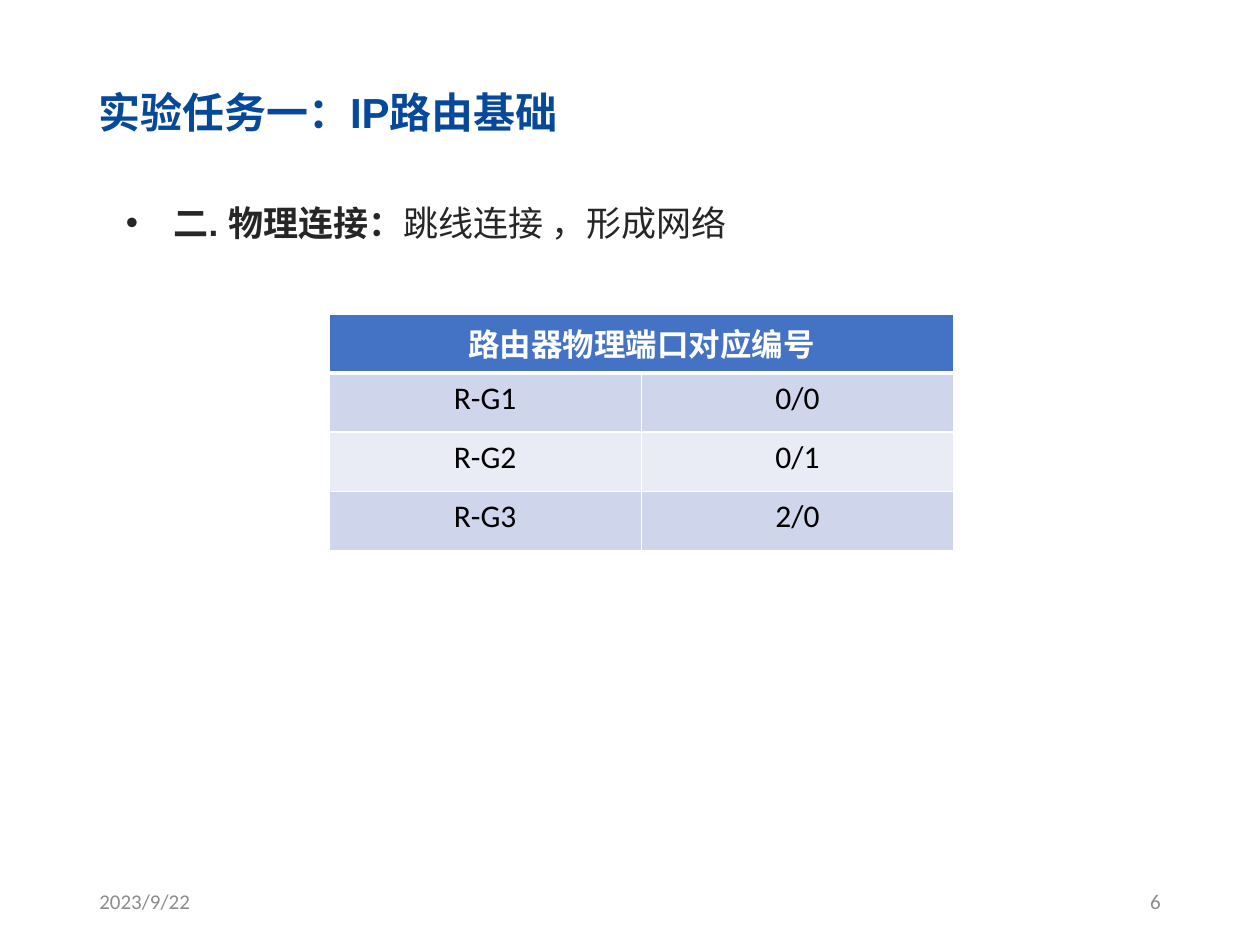
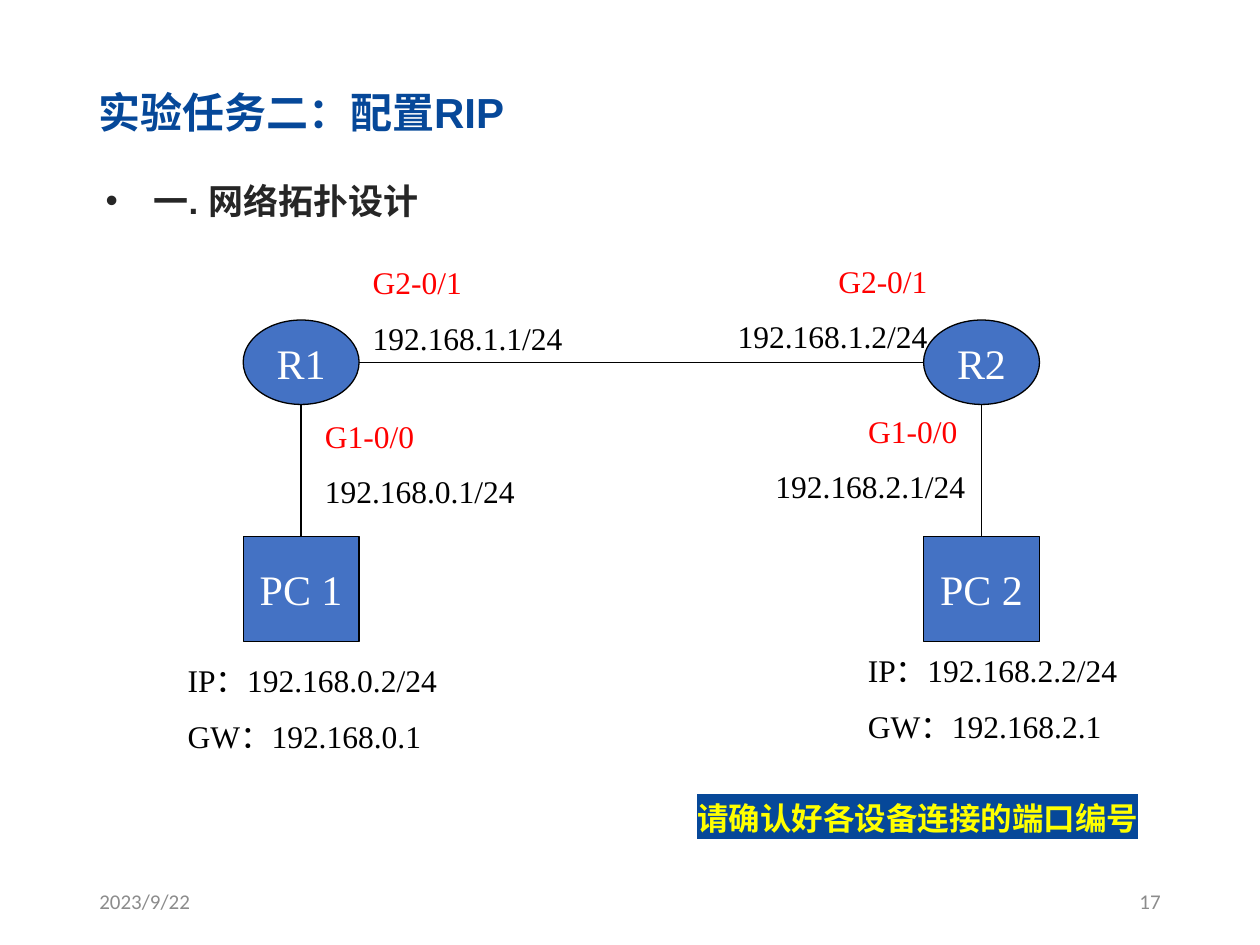
from lxml.etree import SubElement
from pptx import Presentation
from pptx.dml.color import RGBColor
from pptx.enum.shapes import MSO_CONNECTOR as LINE, MSO_SHAPE as SHAPE
from pptx.enum.text import MSO_ANCHOR as ANCHOR, PP_ALIGN as ALIGN
from pptx.oxml import parse_xml
from pptx.oxml.ns import nsdecls, qn
from pptx.util import Inches, Pt

COLORS = {
    "title": "064899", "body": "262626", "footer": "8C8C8C",
    "accent": "4472C4", "band": "CFD5EA", "pale": "E9EBF5",
    "white": "FFFFFF", "black": "000000", "red": "FF0000", "yellow": "FFFF00",
}
DATE = "2023/9/22"
SERIF = "Times New Roman"

ROUTING = {
    "title": "实验任务一：IP路由基础",
    "page": "6",
    "point": [("二. 物理连接：", True), ("跳线连接 ，形成网络", False)],
    "point_box": (0.9, 1.38, 8.38, 0.55),
}
PORTS_HEADING = "路由器物理端口对应编号"
PORTS = [("R-G1", "0/0"), ("R-G2", "0/1"), ("R-G3", "2/0")]

RIP = {
    "title": "实验任务二：配置RIP",
    "page": "17",
    "point": [("一. 网络拓扑设计", True)],
    "point_box": (0.74, 1.21, 8.52, 0.55),
}
SITES = [("R1", "PC 1", 2.39), ("R2", "PC 2", 7.79)]
INTERFACES = [
    ("G2-0/1", "192.168.1.1/24", (2.86, 2.04, 1.76, 0.86), ALIGN.LEFT),
    ("G1-0/0", "192.168.0.1/24", (2.48, 3.26, 1.82, 0.86), ALIGN.LEFT),
    ("G2-0/1", "192.168.1.2/24", (5.7, 2.03, 1.76, 0.86), ALIGN.RIGHT),
    ("G1-0/0 ", "192.168.2.1/24", (6.03, 3.22, 1.73, 0.86), ALIGN.RIGHT),
]
HOSTS = [
    ("IP：192.168.0.2/24", "GW：192.168.0.1", (1.39, 5.2, 2.28, 0.86)),
    ("IP：192.168.2.2/24", "GW：192.168.2.1", (6.79, 5.12, 2.28, 0.86)),
]
REMINDER = "请确认好各设备连接的端口编号"

NODE_WIDTH = 0.92
ROUTER_TOP, ROUTER_HEIGHT = 2.54, 0.67
PC_TOP, PC_HEIGHT = 4.26, 0.83


def rgb(color):
    return RGBColor.from_string(COLORS[color])


def inches(*lengths):
    return [Inches(length) for length in lengths]


def add_run(paragraph, text, size, font, color, bold=False):
    run = paragraph.add_run()
    run.text = text
    run.font.size = Pt(size)
    run.font.name = font
    run.font.bold = bold
    run.font.color.rgb = rgb(color)
    return run


def add_box(slide, box, anchor=ANCHOR.TOP, align=ALIGN.LEFT):
    frame = slide.shapes.add_textbox(*inches(*box)).text_frame
    frame.word_wrap = True
    frame.vertical_anchor = anchor
    frame.paragraphs[0].alignment = align
    return frame


def add_content_slide(deck, content):
    slide = deck.slides.add_slide(deck.slide_layouts[6])
    for text, left, align in [(DATE, 0.69, ALIGN.LEFT),
                              (content["page"], 7.06, ALIGN.RIGHT)]:
        footer = add_box(slide, (left, 6.95, 2.25, 0.4), ANCHOR.MIDDLE, align)
        add_run(footer.paragraphs[0], text, 12, "Calibri", "footer")
    title = add_box(slide, (0.68, 0.64, 8.52, 0.5), ANCHOR.MIDDLE)
    add_run(title.paragraphs[0], content["title"], 24, "Arial", "title", True)

    point = add_box(slide, content["point_box"]).paragraphs[0]
    point.line_spacing = 1.5
    properties = point._p.get_or_add_pPr()
    properties.set("marL", str(Inches(0.38)))
    properties.set("indent", str(-Inches(0.38)))
    SubElement(properties, qn("a:buFont")).set("typeface", "Arial")
    SubElement(properties, qn("a:buChar")).set("char", "•")
    for text, bold in content["point"]:
        add_run(point, text, 20, "Arial", "body", bold)
    return slide


def set_borders(cell, top, bottom):
    properties = cell._tc.get_or_add_tcPr()
    sides = [("lnL", 1), ("lnR", 1), ("lnT", top), ("lnB", bottom)]
    for place, (side, width) in enumerate(sides):
        properties.insert(place, parse_xml(
            f'<a:{side} {nsdecls("a")} w="{Pt(width)}"><a:solidFill>'
            f'<a:srgbClr val="{COLORS["white"]}"/></a:solidFill></a:{side}>'))


def add_ports_table(slide):
    rows = [(PORTS_HEADING, "")] + PORTS
    table = slide.shapes.add_table(
        len(rows), 2, *inches(2.61, 2.49, 4.96, 0.47 * len(rows))).table
    table.cell(0, 0).merge(table.cell(0, 1))
    for r, row in enumerate(rows):
        fill = "accent" if r == 0 else "band" if r % 2 else "pale"
        for c, text in enumerate(row):
            cell = table.cell(r, c)
            cell.fill.solid()
            cell.fill.fore_color.rgb = rgb(fill)
            set_borders(cell, 3 if r == 1 else 1, 3 if r == 0 else 1)
            if text:
                paragraph = cell.text_frame.paragraphs[0]
                paragraph.alignment = ALIGN.CENTER
                add_run(paragraph, text, 18, "Calibri",
                        "black" if r else "white", r == 0)


def add_node(slide, kind, label, center, top, height):
    node = slide.shapes.add_shape(
        kind, *inches(center - NODE_WIDTH / 2, top, NODE_WIDTH, height))
    node.shadow.inherit = False
    node.fill.solid()
    node.fill.fore_color.rgb = rgb("accent")
    node.line.color.rgb = rgb("black")
    node.line.width = Pt(0.75)
    frame = node.text_frame
    frame.word_wrap = False
    frame.vertical_anchor = ANCHOR.MIDDLE
    frame.paragraphs[0].alignment = ALIGN.CENTER
    add_run(frame.paragraphs[0], label, 24, SERIF, "white")
    return node


def add_cable(slide, start, end):
    cable = slide.shapes.add_connector(LINE.STRAIGHT, *inches(*start, *end))
    cable.line.color.rgb = rgb("black")
    cable.line.width = Pt(0.75)
    SubElement(cable._element.spPr, qn("a:effectLst"))
    return cable


def add_address(slide, lines, box, align=ALIGN.LEFT):
    frame = add_box(slide, box, align=align)
    for i, (text, color) in enumerate(lines):
        paragraph = frame.add_paragraph() if i else frame.paragraphs[0]
        paragraph.alignment = align
        if i:
            paragraph.space_before = Pt(10)
        add_run(paragraph, text, 18, SERIF, color)


def add_topology(slide):
    for router, pc, center in SITES:
        add_node(slide, SHAPE.OVAL, router, center, ROUTER_TOP, ROUTER_HEIGHT)
        host = add_node(slide, SHAPE.RECTANGLE, pc, center, PC_TOP, PC_HEIGHT)
        drop = add_cable(slide, (center, ROUTER_TOP + ROUTER_HEIGHT),
                         (center, PC_TOP))
        drop.end_connect(host, 0)
    middle = ROUTER_TOP + ROUTER_HEIGHT / 2
    add_cable(slide, (SITES[0][2] + NODE_WIDTH / 2, middle),
              (SITES[1][2] - NODE_WIDTH / 2, middle))
    for port, address, box, align in INTERFACES:
        add_address(slide, [(port, "red"), (address, "black")], box, align)
    for address, gateway, box in HOSTS:
        add_address(slide, [(address, "black"), (gateway, "black")], box)


def add_reminder(slide):
    frame = add_box(slide, (5.41, 6.29, 3.75, 0.4), align=ALIGN.CENTER)
    run = add_run(frame.paragraphs[0], REMINDER, 18, "Calibri", "yellow", True)
    run._r.rPr.find(qn("a:solidFill")).addnext(parse_xml(
        f'<a:highlight {nsdecls("a")}>'
        f'<a:srgbClr val="{COLORS["title"]}"/></a:highlight>'))


def main():
    deck = Presentation()
    deck.slide_width, deck.slide_height = inches(10, 7.5)
    add_ports_table(add_content_slide(deck, ROUTING))
    rip = add_content_slide(deck, RIP)
    add_topology(rip)
    add_reminder(rip)
    deck.save("out.pptx")


if __name__ == "__main__":
    main()
